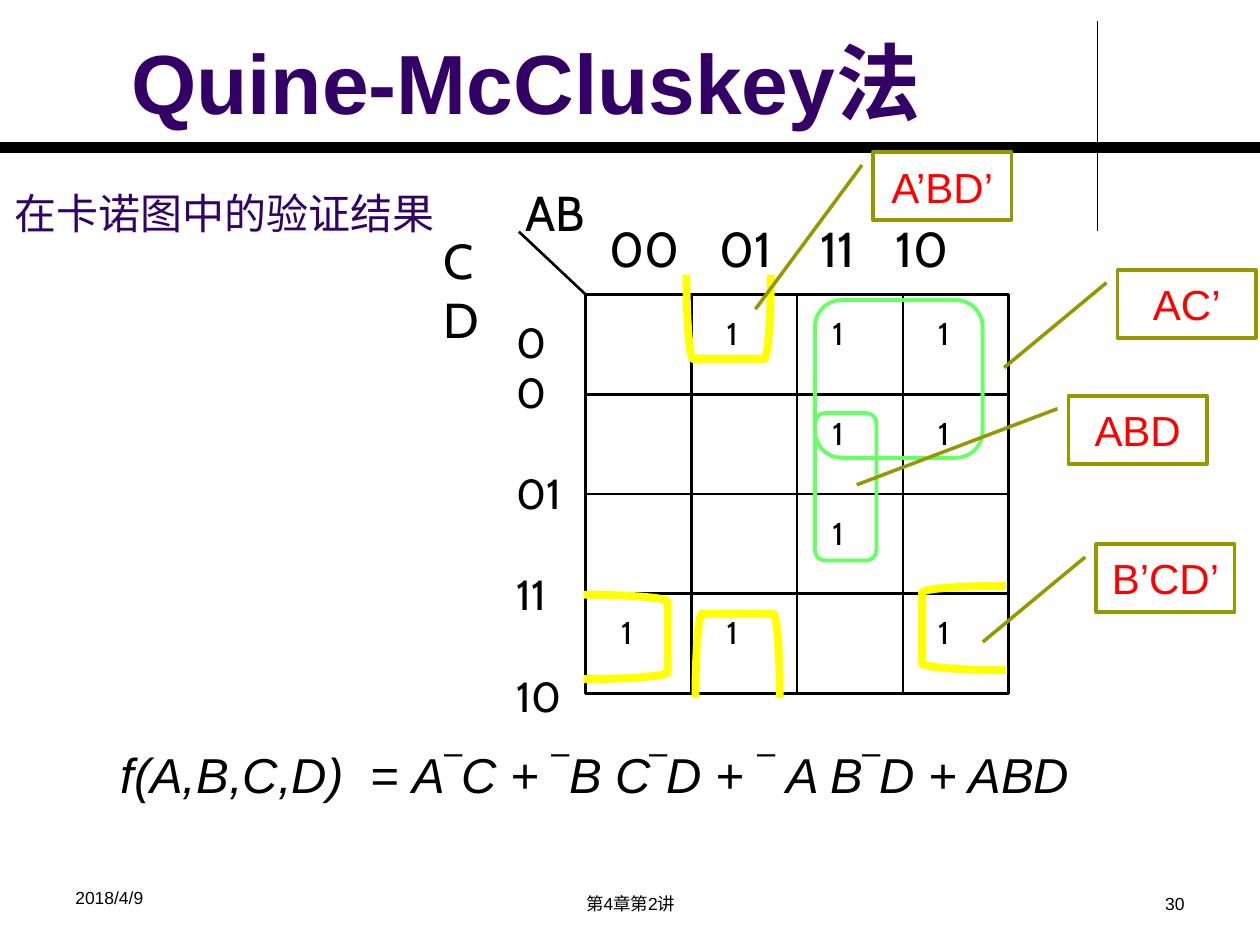
"""Build a slide that checks a Quine-McCluskey result on a Karnaugh map."""
from dataclasses import dataclass

from lxml import etree
from pptx import Presentation, util as u
from pptx.dml.color import RGBColor
from pptx.enum import shapes, text
from pptx.oxml import ns

LEFT, CENTER, RIGHT = text.PP_ALIGN.LEFT, text.PP_ALIGN.CENTER, text.PP_ALIGN.RIGHT


@dataclass(frozen=True)
class Theme:
    sans: str = "Arial"
    label: str = "Cabin"
    ink: str = "000000"
    heading: str = "330066"
    term: str = "FF0000"
    callout: str = "979700"
    loop: str = "66FF66"
    bracket: str = "FFFF00"
    title_size: int = 48
    large: int = 28
    medium: int = 24
    digit: int = 18
    small: int = 10


class SlideBuilder:
    def __init__(self, page, theme):
        self.page = page
        self.theme = theme

    def style(self, para, size, color, name, align=LEFT):
        para.alignment = align
        para.font.size = u.Pt(size)
        para.font.name = name
        para.font.color.rgb = RGBColor.from_string(color)

    def title(self, words, left, top, width, height):
        box = self.page.shapes.title
        box.left, box.top, box.width, box.height = map(u.Cm, (left, top, width, height))
        box.text_frame.text = words
        box.text_frame.vertical_anchor = text.MSO_ANCHOR.BOTTOM
        para = box.text_frame.paragraphs[0]
        self.style(para, self.theme.title_size, self.theme.heading, self.theme.sans)
        para.font.bold = True

    def label(self, words, left, top, width, height, size, color=None, name=None, align=LEFT):
        box = self.page.shapes.add_textbox(*map(u.Cm, (left, top, width, height)))
        box.text_frame.word_wrap = True
        box.text_frame.text = words
        for para in box.text_frame.paragraphs:
            self.style(para, size, color or self.theme.ink, name or self.theme.sans, align)
        return box.text_frame.paragraphs

    def tabs(self, para, stops):
        properties = para._p.get_or_add_pPr()
        tab_list = etree.Element(ns.qn("a:tabLst"))
        for stop in stops:
            etree.SubElement(tab_list, ns.qn("a:tab"), pos=str(u.Cm(stop)), algn="l")
        properties.insert(0, tab_list)

    def line(self, x1, y1, x2, y2, weight):
        connector = self.page.shapes.add_connector(
            shapes.MSO_CONNECTOR.STRAIGHT, *map(u.Cm, (x1, y1, x2, y2)))
        connector.line.color.rgb = RGBColor.from_string(self.theme.ink)
        connector.line.width = u.Pt(weight)
        etree.SubElement(connector._element.spPr, ns.qn("a:effectLst"))

    def outline(self, kind, left, top, width, height, color, weight, adjust=(), turn=0):
        shape = self.page.shapes.add_shape(kind, *map(u.Cm, (left, top, width, height)))
        shape.shadow.inherit = False
        shape.fill.background()
        shape.line.color.rgb = RGBColor.from_string(color)
        shape.line.width = u.Pt(weight)
        shape.rotation = turn
        for index, value in enumerate(adjust):
            shape.adjustments[index] = value
        return shape

    def callout(self, words, left, top, tip_y, tip_x):
        shape = self.outline(shapes.MSO_SHAPE.LINE_CALLOUT_1, left, top, 2.79, 1.37,
                             self.theme.callout, 2, (0.19, -0.08, tip_y, tip_x))
        shape.text_frame.text = words
        shape.text_frame.vertical_anchor = text.MSO_ANCHOR.MIDDLE
        self.style(shape.text_frame.paragraphs[0], self.theme.medium, self.theme.term,
                   self.theme.sans, CENTER)

    def formula(self, parts, left, top, width, height):
        para = self.label("", left, top, width, height, self.theme.large)[0]
        para.font.italic = True
        for words, italic in parts:
            span = para.add_run()
            span.text = words
            span.font.italic = italic


def draw_map(slide, theme):
    left, top, cell_width, cell_height, count = 11.81, 5.94, 2.13, 2.01, 4
    right, bottom = left + count * cell_width, top + count * cell_height

    slide.label("AB", 10.34, 3.56, 1.9, 1.45, theme.large, name=theme.label)
    slide.label("CD", 8.69, 4.52, 1.7, 1.45, theme.large, name=theme.label)
    columns = slide.label("00\t01\t11\t10", 12.04, 4.29, 8.61, 1.45, theme.large,
                          name=theme.label)
    slide.tabs(columns[0], (2.21, 4.25, 5.77))
    rows = slide.label("00\n01\n11\n10", 10.16, 6.25, 1.45, 7.44, theme.medium,
                       name=theme.label)
    for para in rows[1:]:
        para.space_before = u.Pt(29)

    slide.outline(shapes.MSO_SHAPE.RECTANGLE, left, top, right - left, bottom - top,
                  theme.ink, 1.5)
    for step in range(1, count):
        x, y = left + step * cell_width, top + step * cell_height
        slide.line(x, top, x, bottom, 1.5)
        slide.line(left, y, right, y, 1.5)
    slide.line(left, top, 10.46, 4.67, 1.5)

    for row, column in ((0, 1), (0, 2), (0, 3), (1, 2), (1, 3), (2, 2), (3, 0), (3, 1), (3, 3)):
        slide.label("1", left + column * cell_width + 0.46, top + row * cell_height + 0.27,
                    1.04, 1.27, theme.digit, name=theme.label)


def draw_groups(slide, theme):
    for top, width, height in ((8.33, 1.24, 2.97), (6.05, 3.38, 3.18)):
        slide.outline(shapes.MSO_SHAPE.ROUNDED_RECTANGLE, 16.43, top, width, height,
                      theme.loop, 2.25, (0.17,))
    for left, top, turn in ((13.84, 5.54, 270), (14.02, 12.37, 90),
                            (11.76, 11.99, 180), (18.59, 11.81, 0)):
        slide.outline(shapes.MSO_SHAPE.LEFT_BRACKET, left, top, 1.7, 1.7,
                      theme.bracket, 4.5, (0.08,), turn)
    for callout in (("ABD", 21.54, 7.98, 1.31, -1.53), ("AC’", 22.53, 5.44, 1.44, -0.82),
                    ("A’BD’", 17.6, 3.07, 2.31, -0.85), ("B’CD’", 22.1, 10.97, 1.44, -0.82)):
        slide.callout(*callout)


def main():
    deck = Presentation()
    deck.slide_width, deck.slide_height = u.Cm(25.4), u.Cm(19.05)
    theme = Theme()
    slide = SlideBuilder(deck.slides.add_slide(deck.slide_layouts[5]), theme)

    slide.line(22.12, 0.43, 22.12, 4.65, 0.75)
    slide.line(0, 2.97, 25.4, 2.97, 6)
    slide.label("2018/4/9", 1.27, 17.75, 5.92, 0.86, theme.small)
    slide.label("第4章第2讲", 8.69, 17.88, 8.05, 0.74, theme.small, align=CENTER)
    slide.label("30", 18.21, 17.88, 5.92, 0.74, theme.small, align=RIGHT)
    slide.title("Quine-McCluskey法", 2.39, 0.13, 21.97, 2.64)
    slide.label("在卡诺图中的验证结果", 0.05, 3.66, 9.53, 1.27, theme.medium, theme.heading)

    draw_map(slide, theme)
    draw_groups(slide, theme)
    slide.formula((("f(A,B,C,D) ", None), (" = ", False),
                   ("A‾C + ‾B C‾D + ‾ A B‾D + ABD", None)), 2.18, 14.88, 20.75, 1.45)
    deck.save("out.pptx")


if __name__ == "__main__":
    main()
